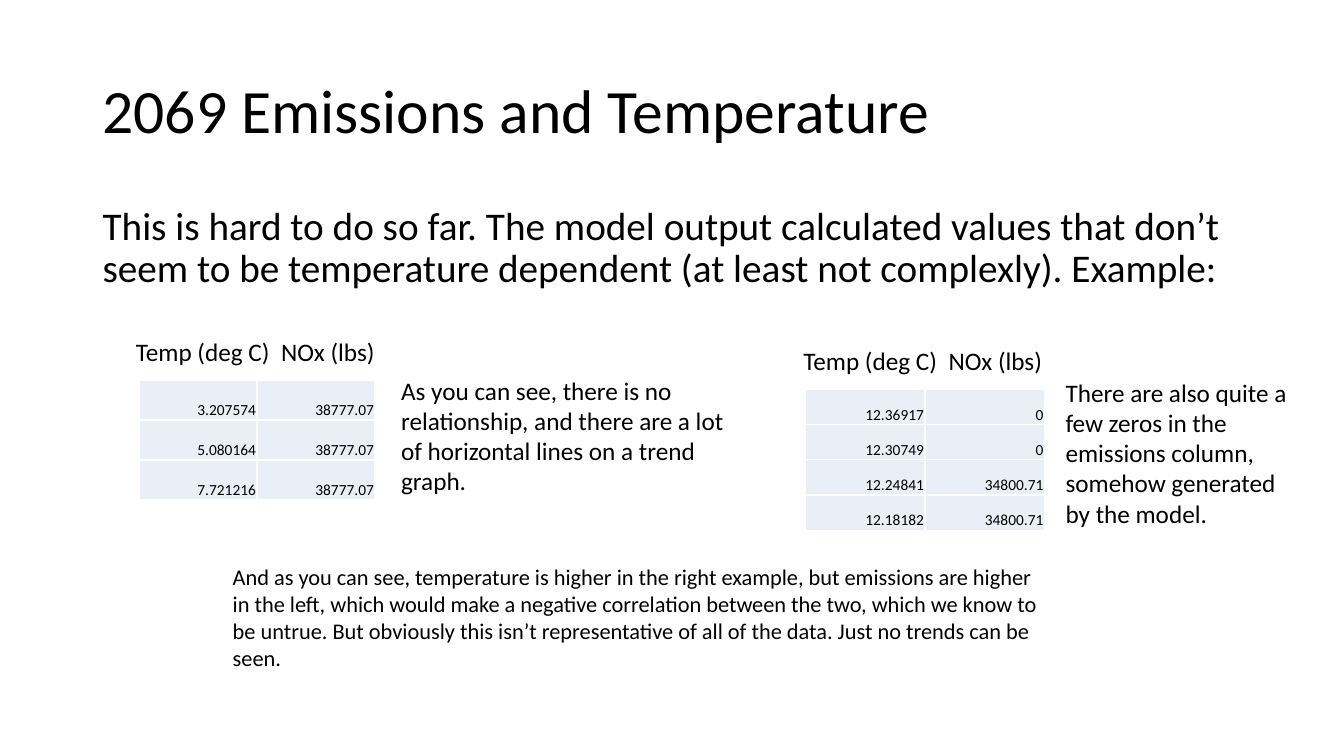
from lxml.etree import SubElement
from pptx import Presentation
from pptx.dml.color import RGBColor
from pptx.enum.text import MSO_ANCHOR as Anchor, PP_ALIGN as Align
from pptx.oxml.ns import qn
from pptx.util import Inches, Pt

HEAD = "Temp (deg C)\tNOx (lbs)"


def color(code):
    return RGBColor.from_string(code)


class Deck:
    font, ink, tint, rule = "Calibri", "000000", "EAEFF7", "FFFFFF"

    def __init__(self):
        self.prs = Presentation()
        self.prs.slide_width, self.prs.slide_height = Inches(13.33), Inches(7.5)
        self.slide = self.prs.slides.add_slide(self.prs.slide_layouts[6])

    def label(self, par, words, size, **form):
        for key, val in form.items():
            setattr(par, key, val)
        run = par.add_run()
        run.text = words
        for key, val in {"name": self.font, "size": Pt(size)}.items():
            setattr(run.font, key, val)
        run.font.color.rgb = color(self.ink)

    def text(self, box, words, size, anchor=Anchor.TOP, tab=None, **form):
        frame = self.slide.shapes.add_textbox(*map(Inches, box)).text_frame
        frame.word_wrap = True
        frame.vertical_anchor = anchor
        par = frame.paragraphs[0]
        self.label(par, words, size, **form)
        if tab:
            stops = SubElement(par._p.get_or_add_pPr(), qn("a:tabLst"))
            SubElement(stops, qn("a:tab"), pos=str(Inches(tab)), algn="l")

    def edge(self, cell):
        props = cell._tc.get_or_add_tcPr()
        for side in "LRTB":
            line = SubElement(props, qn(f"a:ln{side}"), w=str(Pt(1)))
            fill = SubElement(line, qn("a:solidFill"))
            SubElement(fill, qn("a:srgbClr"), val=self.rule)

    def table(self, box, data):
        rows, cols = len(data), len(data[0])
        grid = self.slide.shapes.add_table(rows, cols, *map(Inches, box)).table
        grid.first_row = grid.horz_banding = False
        form = {"margin_left": Inches(0.01), "margin_right": Inches(0.01),
                "margin_top": Inches(0.01), "margin_bottom": 0,
                "vertical_anchor": Anchor.BOTTOM}
        for r, row in enumerate(data):
            for c, value in enumerate(row):
                cell = grid.cell(r, c)
                for key, val in form.items():
                    setattr(cell, key, val)
                self.edge(cell)
                cell.fill.solid()
                cell.fill.fore_color.rgb = color(self.tint)
                self.label(cell.text_frame.paragraphs[0], value, 11,
                           alignment=Align.RIGHT)


def main():
    deck = Deck()

    # Title and lead
    deck.text((0.92, 0.4, 11.5, 1.45), "2069 Emissions and Temperature", 44,
              Anchor.MIDDLE, line_spacing=0.9)
    deck.text((0.92, 2, 11.5, 1.49),
              "This is hard to do so far. The model output calculated values "
              "that don’t seem to be temperature dependent (at least not "
              "complexly). Example:", 28, line_spacing=0.9, space_before=Pt(10))

    # Left example
    deck.table((1.38, 3.77, 2.34, 1.19),
               [("3.207574", "38777.07"), ("5.080164", "38777.07"),
                ("7.721216", "38777.07")])
    deck.text((1.25, 3.29, 2.6, 0.4), HEAD, 18, tab=1.44)
    deck.text((3.88, 3.67, 3.57, 1.31),
              "As you can see, there is no relationship, and there are a lot "
              "of horizontal lines on a trend graph.", 18)

    # Right example
    deck.table((7.99, 3.86, 2.37, 1.4),
               [("12.36917", "0"), ("12.30749", "0"),
                ("12.24841", "34800.71"), ("12.18182", "34800.71")])
    deck.text((7.87, 3.38, 2.6, 0.4), HEAD, 18, tab=1.44)
    deck.text((10.47, 3.69, 2.42, 1.62),
              "There are also quite a few zeros in the emissions column, "
              "somehow generated by the model.", 18)

    # Closing remark
    deck.text((2.21, 5.54, 8.27, 1.18),
              "And as you can see, temperature is higher in the right example, "
              "but emissions are higher in the left, which would make a "
              "negative correlation between the two, which we know to be "
              "untrue. But obviously this isn’t representative of all of the "
              "data. Just no trends can be seen.", 16)

    deck.prs.save("out.pptx")


if __name__ == "__main__":
    main()
